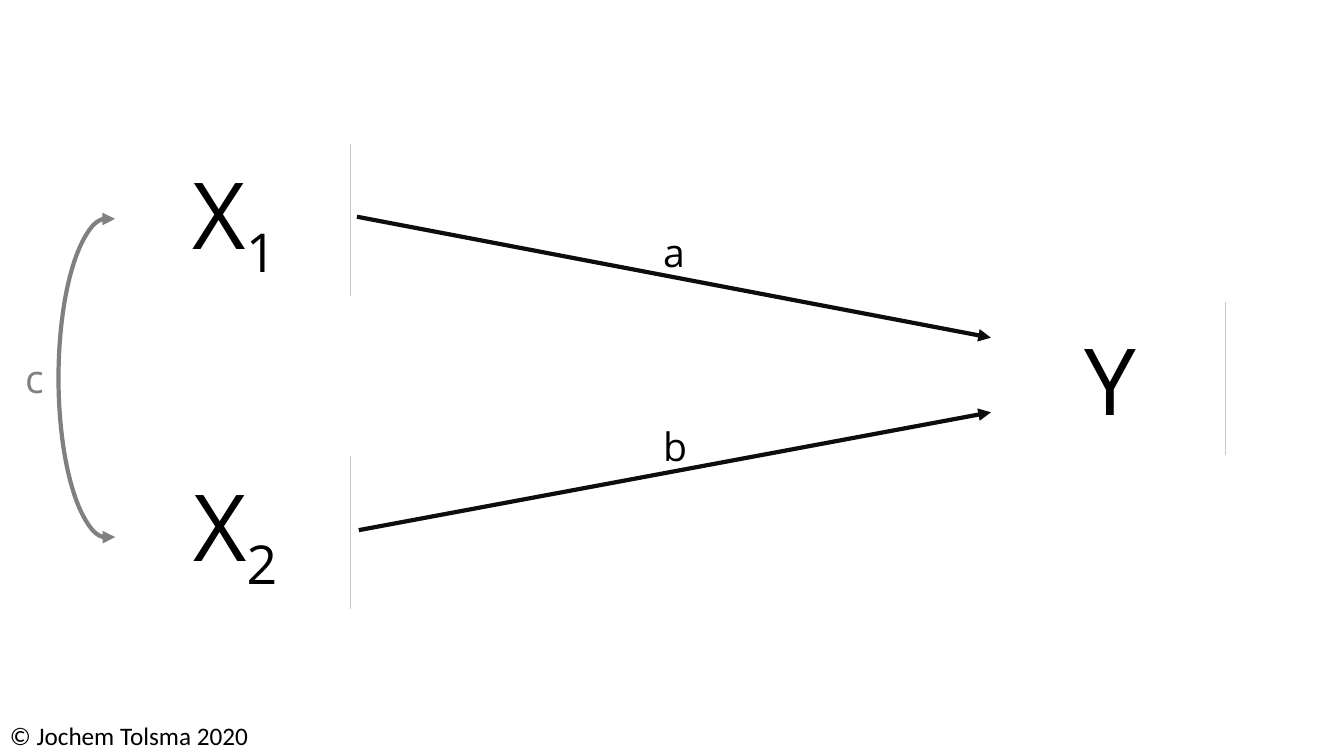
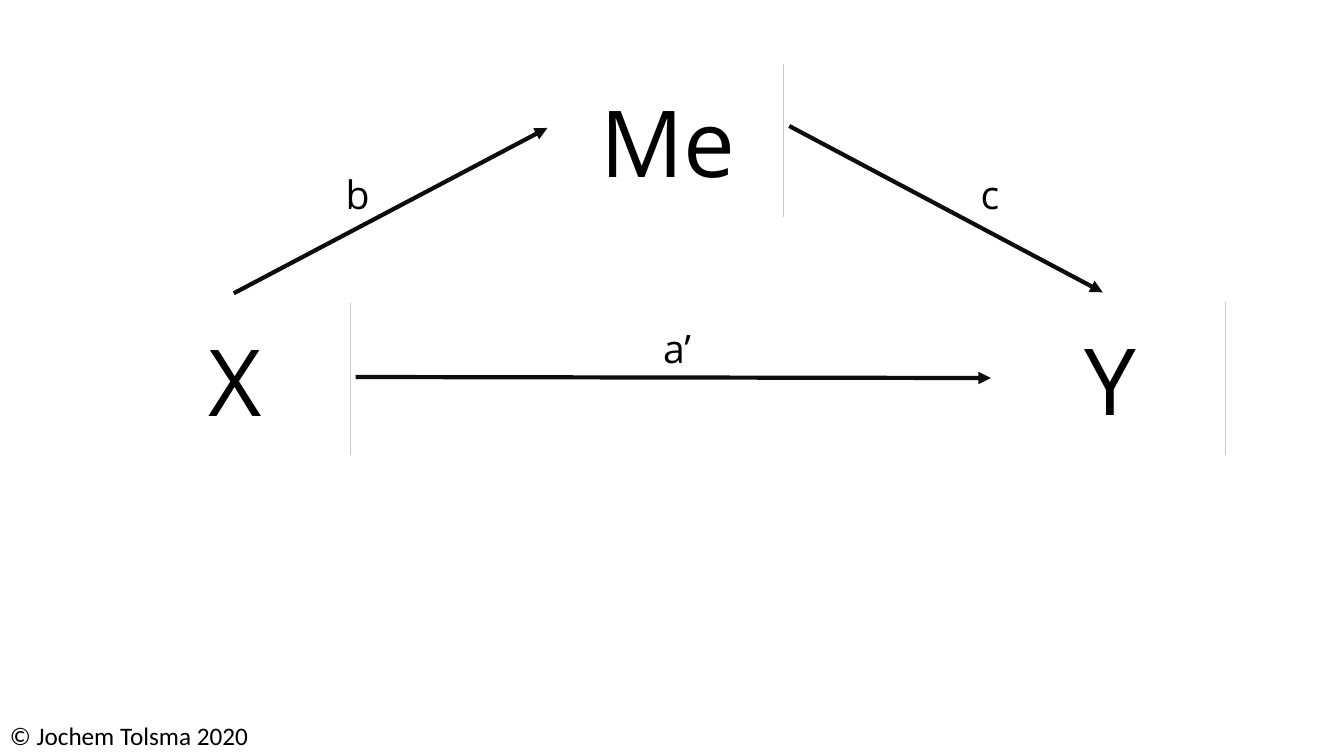
from dataclasses import dataclass

from lxml.etree import SubElement
from pptx import Presentation
from pptx.dml.color import RGBColor
from pptx.enum.shapes import MSO_CONNECTOR, MSO_SHAPE
from pptx.enum.text import MSO_ANCHOR, PP_ALIGN
from pptx.oxml.ns import qn
from pptx.slide import Slide
from pptx.text.text import Font
from pptx.util import Pt

COLORS = {
    "paper": "FFFFFF",
    "text": "000000",
    "arrow": "0D0D0D",
    "edge": "C8C8C8",
    "gray": "808080",
}
SANS = "Open Sans"
BOX_W, BOX_H = 165, 108.7


@dataclass(frozen=True)
class Node:
    name: str
    left: float
    top: float
    sub: str = ""


@dataclass(frozen=True)
class Arrow:
    x1: float
    y1: float
    x2: float
    y2: float


@dataclass(frozen=True)
class Label:
    text: str
    left: float
    top: float
    width: float = 29
    height: float = 41.2
    size: float = 28
    face: str = SANS
    color: str = "text"


@dataclass(frozen=True)
class Curve:
    left: float
    top: float
    width: float
    height: float
    start: float
    end: float


@dataclass(frozen=True)
class Graph:
    nodes: tuple[Node, ...]
    arrows: tuple[Arrow, ...]
    labels: tuple[Label, ...]
    curves: tuple[Curve, ...] = ()


FOOTER = Label("© Jochem Tolsma 2020", 0, 511.2, 269.3, 29, 18, "Calibri")
OUTCOME = Node("Y", 710.5, 216)

GRAPHS = (
    Graph(
        nodes=(Node("X", 85.5, 326, "2"), OUTCOME, Node("X", 85, 103, "1")),
        arrows=(Arrow(256.3, 378.7, 707.8, 294.5), Arrow(255, 154.8, 707.8, 241.2)),
        labels=(
            Label("b", 466.6, 298),
            Label("a", 466.6, 159.8),
            Label("c", 10.8, 249.8, color="gray"),
        ),
        curves=(Curve(41.8, 155.5, 72, 229, 160.68, 55.36),),
    ),
    Graph(
        nodes=(Node("X", 85.5, 216.5), OUTCOME, Node("Me", 394.5, 46)),
        arrows=(
            Arrow(254, 269.3, 707.8, 270),
            Arrow(167, 209.5, 391, 91.4),
            Arrow(563.8, 90, 787.7, 208.8),
        ),
        labels=(
            Label("a’", 466.6, 228.2, 48.2),
            Label("b", 239.8, 118),
            Label("c", 693.4, 118),
        ),
    ),
)


def rgb(name: str) -> RGBColor:
    return RGBColor.from_string(COLORS[name])


def style(font: Font, face: str, size: float, color: str) -> None:
    font.name = face
    font.size = Pt(size)
    font.color.rgb = rgb(color)


def stroke(shape, color: str, width: float, *ends: str) -> None:
    shape.line.color.rgb = rgb(color)
    shape.line.width = Pt(width)
    line = shape.line._get_or_add_ln()
    for end in ends:
        SubElement(line, qn(f"a:{end}"), type="triangle")


def draw_line(slide: Slide, arrow: Arrow, color: str, width: float, *ends: str) -> None:
    line = slide.shapes.add_connector(
        MSO_CONNECTOR.STRAIGHT, Pt(arrow.x1), Pt(arrow.y1), Pt(arrow.x2), Pt(arrow.y2)
    )
    stroke(line, color, width, *ends)
    SubElement(line._element.spPr, qn("a:effectLst"))


def draw_node(slide: Slide, node: Node) -> None:
    box = slide.shapes.add_shape(
        MSO_SHAPE.RECTANGLE, Pt(node.left), Pt(node.top), Pt(BOX_W), Pt(BOX_H)
    )
    box.shadow.inherit = False
    box.fill.solid()
    box.fill.fore_color.rgb = rgb("paper")
    box.line.fill.background()
    frame = box.text_frame
    frame.text = node.name
    frame.vertical_anchor = MSO_ANCHOR.MIDDLE
    para = frame.paragraphs[0]
    para.alignment = PP_ALIGN.CENTER
    if node.sub:
        run = para.add_run()
        run.text = node.sub
        run._r.get_or_add_rPr().set("baseline", "-25000")
    for run in para.runs:
        style(run.font, SANS, 66, "text")
    right = node.left + BOX_W
    draw_line(slide, Arrow(right, node.top, right, node.top + BOX_H), "edge", 0.5)


def draw_label(slide: Slide, label: Label) -> None:
    box = slide.shapes.add_textbox(
        Pt(label.left), Pt(label.top), Pt(label.width), Pt(label.height)
    )
    frame = box.text_frame
    frame.word_wrap = True
    frame.text = label.text
    style(frame.paragraphs[0].runs[0].font, label.face, label.size, label.color)


def draw_curve(slide: Slide, curve: Curve) -> None:
    arc = slide.shapes.add_shape(
        MSO_SHAPE.ARC, Pt(curve.left), Pt(curve.top), Pt(curve.width), Pt(curve.height)
    )
    arc.shadow.inherit = False
    arc.fill.background()
    arc.adjustments[0] = curve.start
    arc.adjustments[1] = curve.end
    arc._element.spPr.xfrm.set("flipH", "1")
    stroke(arc, "gray", 3, "headEnd", "tailEnd")


def draw_graph(slide: Slide, graph: Graph) -> None:
    draw_label(slide, FOOTER)
    for node in graph.nodes:
        draw_node(slide, node)
    for arrow in graph.arrows:
        draw_line(slide, arrow, "arrow", 3, "tailEnd")
    for curve in graph.curves:
        draw_curve(slide, curve)
    for label in graph.labels:
        draw_label(slide, label)


deck = Presentation()
deck.slide_width = Pt(960)
deck.slide_height = Pt(540)
for graph in GRAPHS:
    draw_graph(deck.slides.add_slide(deck.slide_layouts[6]), graph)
deck.save("out.pptx")
